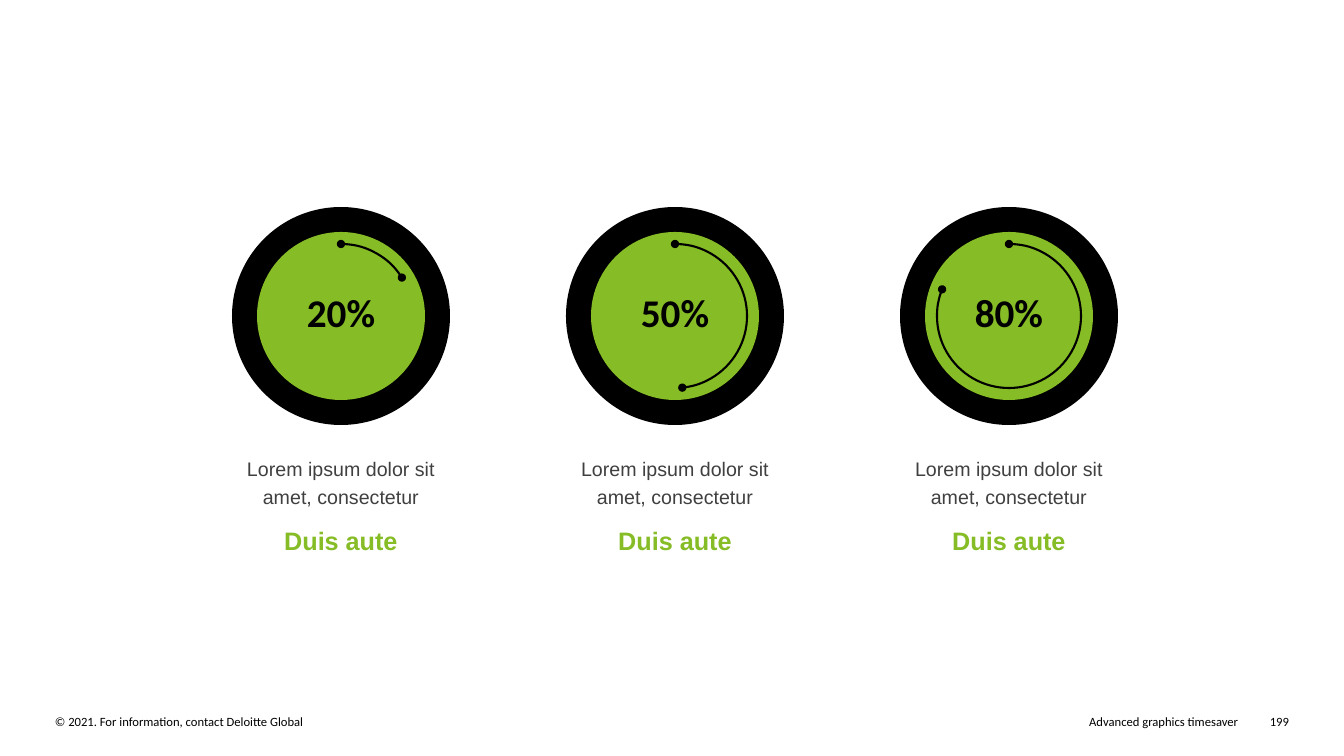
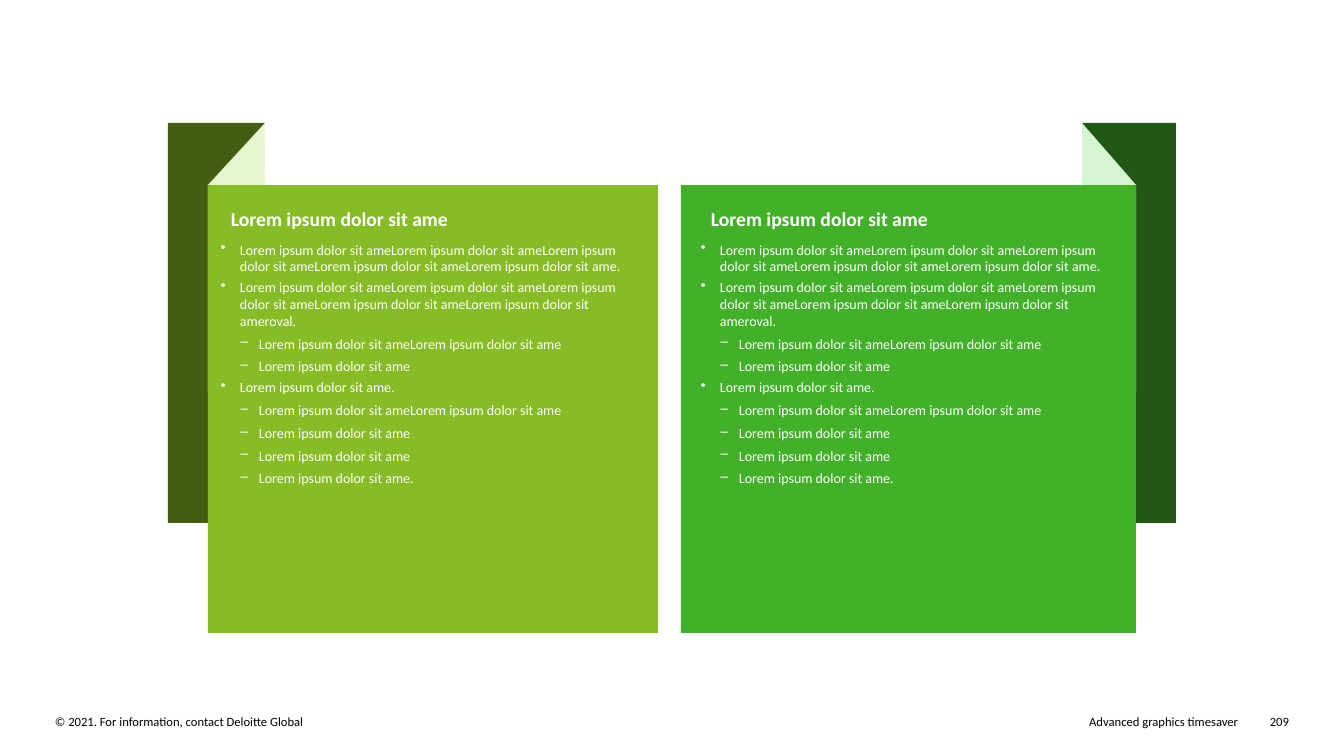
import pptx
import pptx.dml.color
import pptx.enum.shapes
import pptx.enum.text
import pptx.oxml.ns
import pptx.util
from lxml import etree

PX = 914400 / 100.8
COLORS = {
    "black": "000000",
    "white": "FFFFFF",
    "grey": "404040",
    "lime": "86BC25",
    "lime_dark": "435E12",
    "lime_pale": "E8F6CF",
    "green": "43B02A",
    "green_dark": "215815",
    "green_pale": "D7F4D0",
}
SHAPE = pptx.enum.shapes.MSO_SHAPE
LEFT, CENTER, RIGHT = (
    pptx.enum.text.PP_ALIGN.LEFT,
    pptx.enum.text.PP_ALIGN.CENTER,
    pptx.enum.text.PP_ALIGN.RIGHT,
)
BULLETS = "•‒"
INDENT = 19
PHRASE = "Lorem ipsum dolor sit ame"
PANEL_ITEMS = [
    (0, PHRASE * 5 + "."),
    (0, PHRASE * 5 + "roval."),
    (1, PHRASE * 2),
    (1, PHRASE),
    (0, PHRASE + "."),
    (1, PHRASE * 2),
    (1, PHRASE),
    (1, PHRASE),
    (1, PHRASE + "."),
]


def emu(px):
    return round(px * PX)


def rgb(name):
    return pptx.dml.color.RGBColor.from_string(COLORS[name])


def paint(sp, color):
    """Give a shape a flat fill with no outline or shadow."""
    sp.shadow.inherit = False
    sp.fill.solid()
    sp.fill.fore_color.rgb = rgb(color)
    sp.line.fill.background()


def add_shape(slide, kind, x, y, w, h, color):
    sp = slide.shapes.add_shape(kind, emu(x), emu(y), emu(w), emu(h))
    paint(sp, color)
    return sp


def style_runs(p, size, color, bold=False, font="Calibri"):
    for r in p.runs:
        r.font.size = pptx.util.Pt(size)
        r.font.name = font
        r.font.bold = bold
        r.font.color.rgb = rgb(color)


def add_text_box(slide, x, y, w, h, inset=True, wrap=True):
    tf = slide.shapes.add_textbox(emu(x), emu(y), emu(w), emu(h)).text_frame
    tf.word_wrap = wrap
    if not inset:
        tf.margin_left = tf.margin_right = tf.margin_top = tf.margin_bottom = 0
    return tf


def add_line_of_text(slide, x, y, w, h, text, size, color, bold=False, font="Calibri",
                     align=LEFT, spacing=1.0, inset=True, wrap=True):
    tf = add_text_box(slide, x, y, w, h, inset, wrap)
    tf.text = text
    p = tf.paragraphs[0]
    p.alignment = align
    p.line_spacing = spacing
    style_runs(p, size, color, bold, font)


def add_footer(slide, number):
    for x, w, text, align in (
        (55, 591, "© 2021. For information, contact Deloitte Global", LEFT),
        (699, 539, "Advanced graphics timesaver", RIGHT),
        (1255, 34, str(number), RIGHT),
    ):
        add_line_of_text(slide, x, 714, w, 15, text, 9, "black", align=align, inset=False)


def add_arc(slide, x, y, size, end_angle):
    """Draw a dotted-end arc clockwise from the top to end_angle degrees."""
    sp = slide.shapes.add_shape(SHAPE.ARC, emu(x), emu(y), emu(size), emu(size))
    sp.shadow.inherit = False
    sp.adjustments[0] = 270 * 0.6
    sp.adjustments[1] = end_angle * 0.6
    sp.fill.background()
    sp.line.color.rgb = rgb("black")
    sp.line.width = pptx.util.Pt(1.5)
    ln = sp._element.spPr.find(pptx.oxml.ns.qn("a:ln"))
    for end in ("a:headEnd", "a:tailEnd"):
        etree.SubElement(ln, pptx.oxml.ns.qn(end), type="oval")


def add_dial(slide, x, y, size, percent, end_angle):
    """Place a percentage dial with its caption and label below."""
    add_shape(slide, SHAPE.OVAL, x, y, size, size, "black")
    add_shape(slide, SHAPE.OVAL, x + 25, y + 25, size - 50, size - 50, "lime")
    add_arc(slide, x + 37, y + 37, size - 74, end_angle)
    add_line_of_text(slide, x + 64, y + 82, size - 128, 53, percent, 28, "black", bold=True,
                     align=CENTER, spacing=0.9, wrap=False)
    add_line_of_text(slide, x - 8, y + 240, size + 16, 64,
                     "Lorem ipsum dolor sit amet, consectetur", 14, "grey",
                     font="Arial", align=CENTER, spacing=1.2)
    add_line_of_text(slide, x - 8, y + 317, size + 16, 37, "Duis aute", 18, "lime",
                     bold=True, font="Arial", align=CENTER, spacing=0.9)


def add_bullets(slide, x, y, w, h, items):
    tf = add_text_box(slide, x, y, w, h, inset=False)
    for i, (level, text) in enumerate(items):
        p = tf.add_paragraph() if i else tf.paragraphs[0]
        p.text = text
        p.level = level
        if i:
            p.space_before = pptx.util.Pt(3)
        if level:
            p.line_spacing = 1.1
        pPr = p._p.get_or_add_pPr()
        pPr.set("marL", str(emu(INDENT * (level + 1))))
        pPr.set("indent", str(-emu(INDENT)))
        etree.SubElement(pPr, pptx.oxml.ns.qn("a:buChar"), char=BULLETS[level])
        style_runs(p, 10, "white")


def add_folded_panel(slide, x, y, w, h, fold, text_x, hue, mirrored=False):
    """Place a panel whose ribbon folds behind its outer side."""
    tail, drop, band_h = 40, 62, 400
    edge, step = (x + w, -1) if mirrored else (x, 1)
    outer, inner = edge + step * tail, edge + step * (tail + fold)

    add_shape(slide, SHAPE.RECTANGLE, min(edge, inner), y, tail + fold, band_h, hue + "_dark")
    builder = slide.shapes.build_freeform(inner, y, scale=PX)
    builder.add_line_segments([
        (outer, y + drop),
        (outer, y + drop + 207),
        (inner, y + 207),
    ])
    paint(builder.convert_to_shape(), hue + "_pale")

    front_x = x if mirrored else outer
    add_shape(slide, SHAPE.RECTANGLE, front_x, y + drop, w - tail, h - drop, hue)
    add_bullets(slide, front_x + text_x, y + 118, 424, 248, PANEL_ITEMS)
    add_line_of_text(slide, front_x + text_x, y + 79, 239, 34, PHRASE, 14, "white",
                     bold=True, wrap=False)


def add_dials_slide(slide):
    for i, (percent, end_angle) in enumerate((("20%", 327.76), ("50%", 84.18), ("80%", 201.72))):
        add_dial(slide, 232 + i * 334, 207, 218, percent, end_angle)


def add_panels_slide(slide):
    add_folded_panel(slide, 681, 123, 495, 510, 54, 20, "green", mirrored=True)
    add_folded_panel(slide, 168, 123, 490, 510, 57, 13, "lime")


def main():
    prs = pptx.Presentation()
    prs.slide_width, prs.slide_height = emu(1344), emu(756)
    for number, fill_slide in ((199, add_dials_slide), (209, add_panels_slide)):
        slide = prs.slides.add_slide(prs.slide_layouts[6])
        add_footer(slide, number)
        fill_slide(slide)
    prs.save("out.pptx")


if __name__ == "__main__":
    main()
